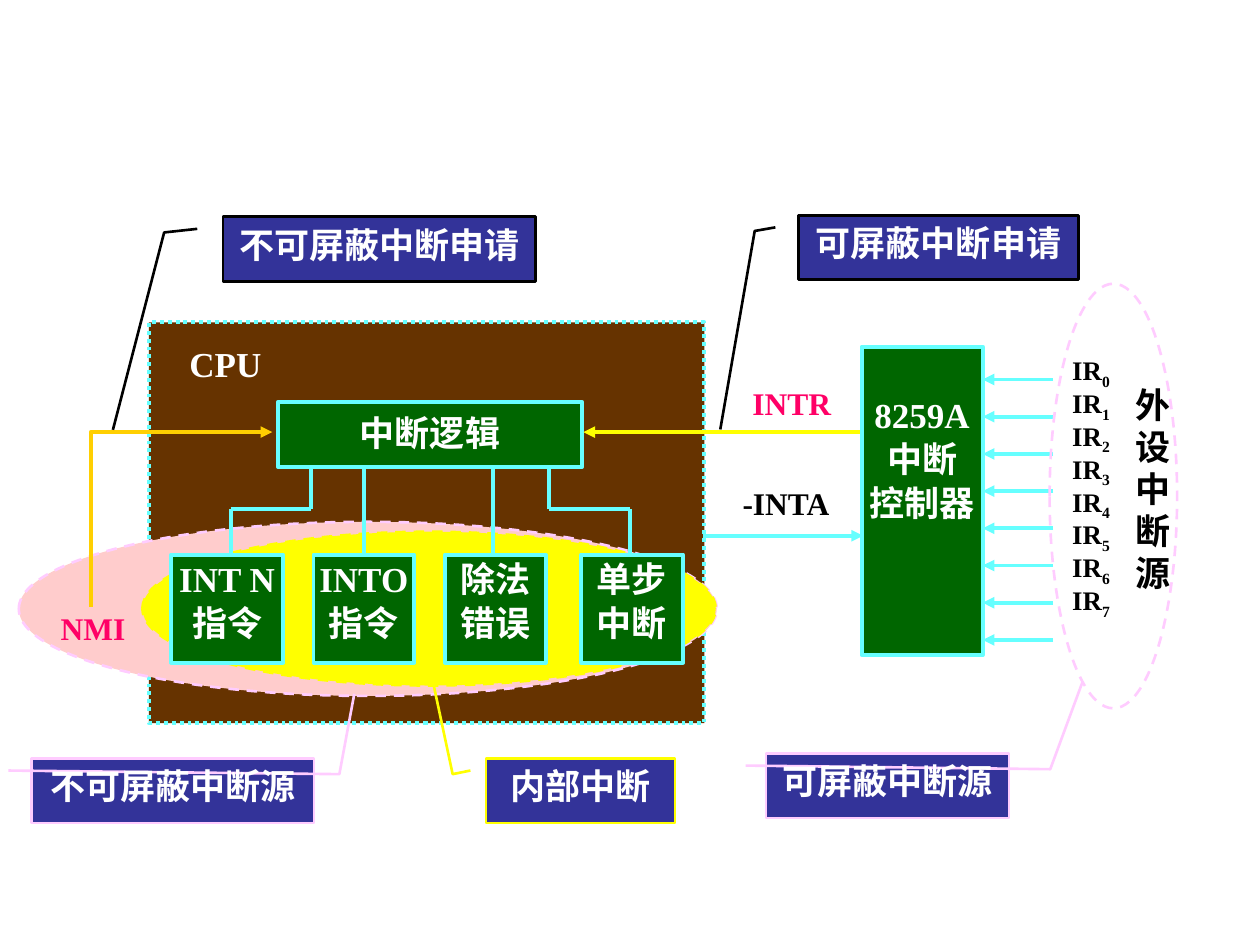
"""Build a slide showing interrupt sources and how they reach the CPU."""
from lxml.etree import SubElement
from pptx import Presentation
from pptx.dml.color import RGBColor
from pptx.enum.dml import MSO_LINE_DASH_STYLE as Dash
from pptx.enum.shapes import MSO_CONNECTOR as Connector, MSO_SHAPE as Shape
from pptx.enum.text import MSO_ANCHOR as Anchor, PP_ALIGN as Align
from pptx.oxml.ns import qn
from pptx.util import Cm, Pt

FONT = "Times New Roman"
CYAN, GREEN, NAVY, PINK = "66FFFF", "006600", "333399", "FFCCFF"
WHITE, BLACK, RED, YELLOW = "FFFFFF", "000000", "FF0066", "FFFF00"

presentation = Presentation()
presentation.slide_width, presentation.slide_height = Cm(25.4), Cm(19.05)
slide = presentation.slides.add_slide(presentation.slide_layouts[6])


def add_box(kind, frame, text="", fill=None, line=None, weight=2.25, dash=None,
            size=20, color=WHITE, inset=(0.03, 0.03), spacing=None, space=0):
    position = [Cm(value) for value in frame]
    if kind is None:
        shape = slide.shapes.add_textbox(*position)
    else:
        shape = slide.shapes.add_shape(kind, *position)
        shape.shadow.inherit = False
    if fill:
        shape.fill.solid()
        shape.fill.fore_color.rgb = RGBColor.from_string(fill)
    else:
        shape.fill.background()
    if line:
        shape.line.color.rgb = RGBColor.from_string(line)
        shape.line.width = Pt(weight)
        shape.line.dash_style = dash
    text_frame = shape.text_frame
    text_frame.word_wrap = True
    text_frame.vertical_anchor = Anchor.TOP
    text_frame.margin_left = text_frame.margin_right = Cm(inset[0])
    text_frame.margin_top, text_frame.margin_bottom = Cm(inset[1]), Cm(0.03)
    text_frame.text = text
    for index, paragraph in enumerate(text_frame.paragraphs):
        paragraph.alignment = Align.CENTER
        if spacing:
            paragraph.line_spacing = spacing
        if index and space:
            paragraph.space_before = Pt(space)
        for run in paragraph.runs:
            run.font.name, run.font.size, run.font.bold = FONT, Pt(size), True
            run.font.color.rgb = RGBColor.from_string(color)
    return shape


def add_line(points, color=CYAN, arrow=False):
    points = [(Cm(x), Cm(y)) for x, y in points]
    if len(points) == 2:
        shape = slide.shapes.add_connector(Connector.STRAIGHT, *points[0], *points[1])
    else:
        builder = slide.shapes.build_freeform(*points[0])
        builder.add_line_segments(points[1:], close=False)
        shape = builder.convert_to_shape()
        shape.fill.background()
    shape.line.color.rgb = RGBColor.from_string(color)
    shape.line.width = Pt(2.25)
    properties = shape._element.spPr
    if arrow:
        SubElement(properties.find(qn("a:ln")), qn("a:tailEnd"), type="triangle")
    SubElement(properties, qn("a:effectLst"))


add_box(Shape.RECTANGLE, (3, 6.5, 11.2, 8.08), fill="663300", line=CYAN,
        dash=Dash.ROUND_DOT)
add_box(Shape.OVAL, (0.38, 10.52, 14.07, 3.51), fill="FFCCCC", line=PINK,
        weight=1.5, dash=Dash.DASH)
add_box(Shape.OVAL, (2.87, 10.72, 11.56, 3.1), fill=YELLOW, line=YELLOW,
        weight=1.5, dash=Dash.DASH)
add_box(Shape.RECTANGLE, (5.61, 8.1, 6.12, 1.32), "中断逻辑", GREEN, CYAN, spacing=1.2)

internal_sources = [
    (3.45, 2.26, "INT N\n指令"),
    (6.32, 2.03, "INTO\n指令"),
    (8.97, 2.03, "除法\n错误"),
    (11.71, 2.06, "单步\n中断"),
]
for left, width, label in internal_sources:
    add_box(Shape.RECTANGLE, (left, 11.18, width, 2.18), label, GREEN, CYAN,
            inset=(0.03, 0.06), space=1)

logic_bottom, bend, source_top = 9.42, 10.27, 11.16
for outer, inner in [(4.65, 6.27), (12.7, 11.07)]:
    add_line([(outer, source_top), (outer, bend)])
    add_line([(outer, bend), (inner, bend)])
    add_line([(inner, bend), (inner, logic_bottom)])
for x in (7.33, 9.93):
    add_line([(x, source_top), (x, logic_bottom)])

add_line([(1.83, 12.24), (1.83, 8.71), (5.49, 8.71)], "FFCF01", arrow=True)
add_line([(17.37, 8.71), (11.76, 8.71)], YELLOW, arrow=True)
add_box(None, (3.53, 6.88, 2.03, 1.32), "CPU")
add_box(None, (0.86, 12.24, 2.03, 1.32), "NMI", size=18, color=RED)

add_box(Shape.RECTANGLE, (17.37, 6.99, 2.44, 6.22), "8259A\n中断\n控制器", GREEN, CYAN,
        inset=(0.03, 0.95), space=1)
request_labels = add_box(None, (20.98, 7.11, 2.03, 6.15), "\n".join(["IR"] * 8),
                         size=15.3, color=BLACK, spacing=0.9)
for number, paragraph in enumerate(request_labels.text_frame.paragraphs):
    run = paragraph.add_run()
    run.text = str(number)
    run.font.name, run.font.size, run.font.bold = FONT, Pt(15.3), True
    run.font.color.rgb = RGBColor.from_string(BLACK)
    run._r.get_or_add_rPr().set("baseline", "-25000")
    y = 7.65 + 0.75 * number
    add_line([(21.23, y), (19.81, y)], arrow=True)

add_box(None, (22.58, 7.7, 1.32, 4.93), "\n".join("外设中断源"), color=BLACK)
add_line([(14.17, 10.8), (17.4, 10.8)], arrow=True)
add_box(None, (14.83, 9.73, 2.03, 0.91), "-INTA", size=18, color=BLACK)
intr_label = add_box(None, (14.76, 7.57, 2.26, 1.12), " INTR", size=18, color=RED,
                     inset=(0.25, 0.18))
intr_label.text_frame.word_wrap = False
intr_label.text_frame.paragraphs[0].alignment = Align.LEFT
add_box(Shape.OVAL, (21.16, 5.72, 2.57, 8.56), line=PINK, weight=1.5, dash=Dash.DASH)

callouts = [
    ("可屏蔽中断申请", 16.1, 4.34, 5.64, BLACK, (-0.157, 3.322, -0.28)),
    ("不可屏蔽中断申请", 4.5, 4.37, 6.3, BLACK, (-0.189, 3.305, -0.353)),
    ("可屏蔽中断源", 15.44, 15.19, 4.9, PINK, (1.17, -1.122, 1.304)),
    ("不可屏蔽中断源", 0.64, 15.29, 5.69, PINK, (1.09, -1.003, 1.143)),
    ("内部中断", 9.8, 15.29, 3.81, YELLOW, (-0.177, -1.502, -0.304)),
]
for label, left, top, width, line, pointer in callouts:
    callout = add_box(Shape.LINE_CALLOUT_2, (left, top, width, 1.3), label, NAVY, line,
                      weight=1.5, inset=(0.25, 0.13))
    for index, value in enumerate((0.188, -0.083, 0.244) + pointer):
        callout.adjustments[index] = value

presentation.save("out.pptx")
